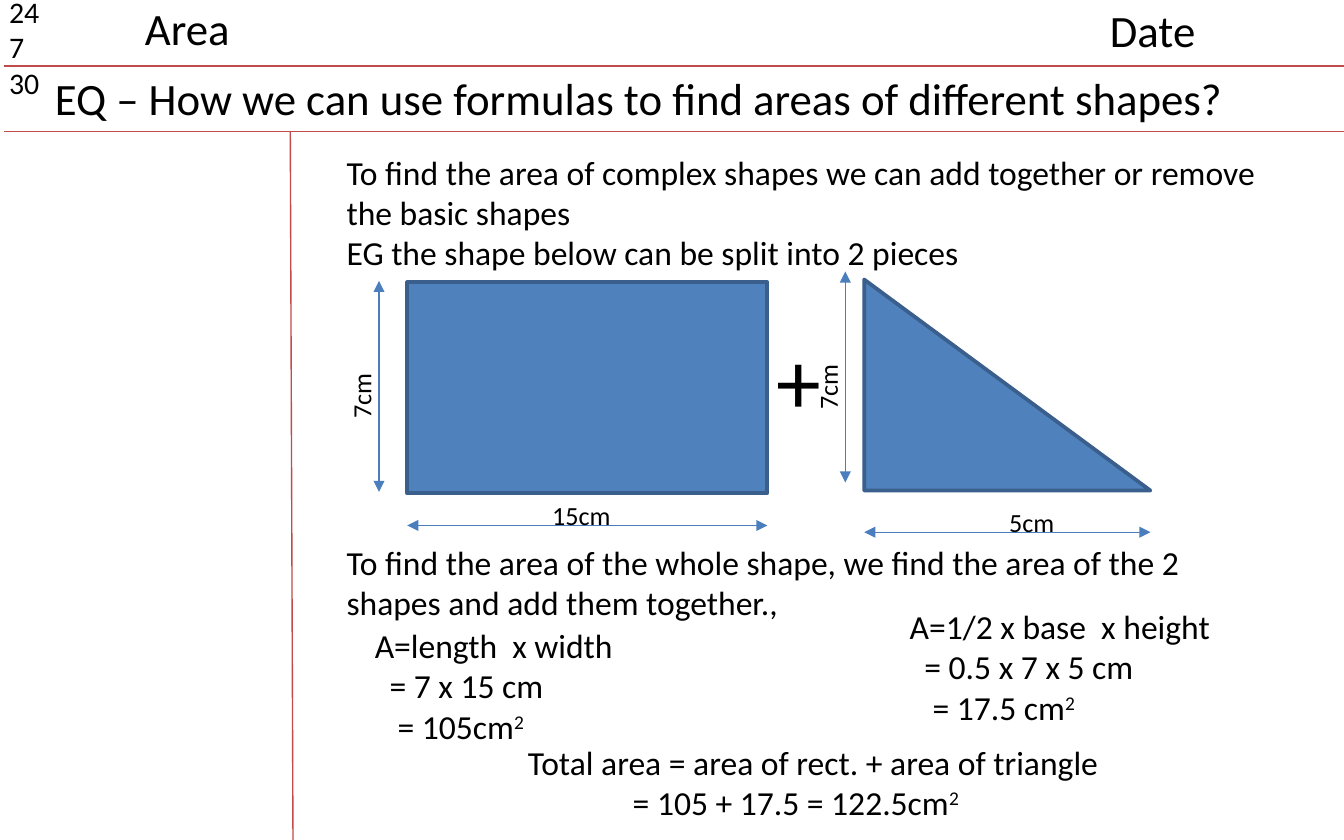
from lxml import etree
from pptx import Presentation
from pptx.dml.color import RGBColor
from pptx.enum import shapes, text
from pptx.oxml import ns
from pptx.util import Inches, Pt

BLACK = RGBColor(0x00, 0x00, 0x00)
RED = RGBColor(0xBF, 0x4C, 0x48)
BLUE = RGBColor(0x4F, 0x81, 0xBD)
OUTLINE = RGBColor(0x3A, 0x5F, 0x8C)
ARROW = RGBColor(0x4B, 0x7E, 0xBC)
FONT = "Calibri"


def add_text(slide, box, lines, size, wrap=True, rotation=0):
    sp = slide.shapes.add_textbox(*map(Inches, box))
    sp.rotation = rotation
    tf = sp.text_frame
    tf.word_wrap = wrap
    tf.auto_size = text.MSO_AUTO_SIZE.SHAPE_TO_FIT_TEXT
    for i, line in enumerate(lines):
        p = tf.paragraphs[0] if i == 0 else tf.add_paragraph()
        p.add_run().text = line
        p.font.name = FONT
        p.font.size = Pt(size)
        p.font.color.rgb = BLACK
    return tf


def add_line(slide, start, end, color, arrows=False):
    line = slide.shapes.add_connector(
        shapes.MSO_CONNECTOR.STRAIGHT, *map(Inches, (*start, *end)))
    line.line.color.rgb = color
    line.line.width = Pt(0.75)
    if arrows:
        ln = line.line._get_or_add_ln()
        for tag in ("a:headEnd", "a:tailEnd"):
            etree.SubElement(ln, ns.qn(tag), type="triangle")
    etree.SubElement(line._element.spPr, ns.qn("a:effectLst"))


def add_page_frame(slide, box):
    x, y, w, h = box
    for rule in (0.49, 0.98):
        add_line(slide, (x + 0.03, y + rule), (x + w, y + rule), RED)
    add_line(slide, (x + 2.16, y + 0.98), (x + 2.18, y + h), RED)


def add_header(slide, box):
    x, y, w, h = box
    add_text(slide, (x - 0.03, y - 0.1, 0.63, 0.91), ["24", "7", "30"], 16)
    add_text(slide, (x + 0.98, y - 0.04, 0.84, 0.5), ["Area"], 24, wrap=False)
    add_text(slide, (x + 8.16, y - 0.03, 1.73, 0.5), ["Date"], 24)
    add_text(slide, (x + 0.31, y + 0.48, w - 0.72, 0.5),
             ["EQ – How we can use formulas to find areas of different shapes?"], 24)


def add_measured_shape(slide, box, kind, height, base, side_gap, lift, base_gap):
    x, y, w, h = box
    sp = slide.shapes.add_shape(kind, *map(Inches, box))
    sp.shadow.inherit = False
    sp.fill.solid()
    sp.fill.fore_color.rgb = BLUE
    sp.line.color.rgb = OUTLINE
    sp.line.width = Pt(2)

    label_w, label_h = 1.02, 0.34
    side_x, side_top = x - side_gap, y - lift
    add_line(slide, (side_x, side_top + h), (side_x, side_top), ARROW, arrows=True)
    add_text(slide, (side_x - 0.13 - label_w / 2, side_top + h / 2 - label_h,
                     label_w, label_h), [height], 14, rotation=270)

    base_y = y + h + base_gap
    add_line(slide, (x, base_y), (x + w, base_y), ARROW, arrows=True)
    add_text(slide, (x + 0.98, base_y - 0.24, label_w, label_h), [base], 14)


def add_working(slide, box, lines, indents):
    tf = add_text(slide, box, lines, 18)
    for p, indent in zip(tf.paragraphs, indents):
        p._p.get_or_add_pPr().set("marL", str(Inches(indent)))
    r = tf.paragraphs[-1].add_run()
    r.text = "2"
    r._r.get_or_add_rPr().set("baseline", "30000")


def add_example(slide, box):
    x, y, w, h = box
    add_text(slide, (x, y, w, 1.01),
             ["To find the area of complex shapes we can add together or remove the basic shapes",
              "EG the shape below can be split into 2 pieces"], 18)
    add_measured_shape(slide, (x + 0.55, y + 1.02, 2.68, 1.57),
                       shapes.MSO_SHAPE.RECTANGLE, "7cm", "15cm", 0.21, 0.01, 0.24)
    add_measured_shape(slide, (x + 3.95, y + 1, 2.13, 1.57),
                       shapes.MSO_SHAPE.RIGHT_TRIANGLE, "7cm", "5cm", 0.14, 0.06, 0.31)
    add_text(slide, (x + 3.2, y + 1.29, 1.1, 0.91), ["+"], 48)
    add_text(slide, (x, y + 2.9, w, 0.71),
             ["To find the area of the whole shape, we find the area of the 2 shapes "
              "and add them together.,"], 18)
    steps = (0, 0.11, 0.17)
    add_working(slide, (x + 0.21, y + 3.52, 2.92, 1.01),
                ["A=length  x width", "= 7 x 15 cm", "= 105cm"], steps)
    add_working(slide, (x + 4.19, y + 3.38, 2.92, 1.01),
                ["A=1/2 x base  x height", "= 0.5 x 7 x 5 cm", "= 17.5 cm"], steps)
    add_working(slide, (x + 1.35, y + 4.39, 4.6, 0.71),
                ["Total area = area of rect. + area of triangle",
                 "= 105 + 17.5 = 122.5cm"], (0, 0.78))


def main():
    prs = Presentation()
    prs.slide_width = Inches(10)
    prs.slide_height = Inches(6.25)
    slide = prs.slides.add_slide(prs.slide_layouts[6])
    add_page_frame(slide, (0, 0, 10, 6.25))
    add_header(slide, (0, 0, 10, 0.98))
    add_example(slide, (2.48, 1.08, 7.12, 5.1))
    prs.save("out.pptx")


if __name__ == "__main__":
    main()
